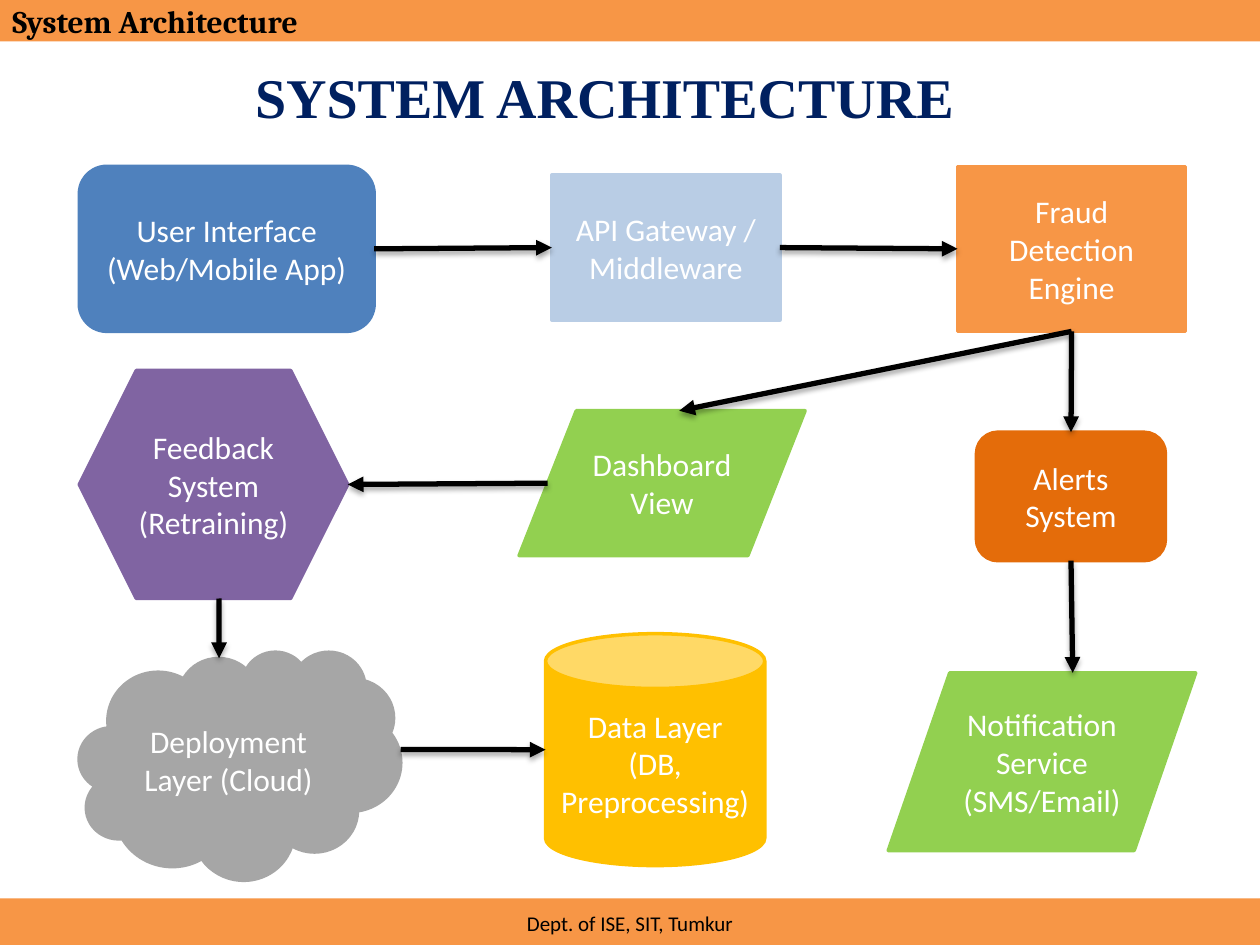
from lxml import etree
from pptx import Presentation
from pptx import util as u
from pptx.dml.color import RGBColor
from pptx.enum import shapes, text
from pptx.oxml import ns

BLACK = RGBColor(0x00, 0x00, 0x00)
WHITE = RGBColor(0xFF, 0xFF, 0xFF)
NAVY = RGBColor(0x00, 0x20, 0x60)
BLUE = RGBColor(0x4F, 0x81, 0xBD)
PALE_BLUE = RGBColor(0xB9, 0xCD, 0xE5)
ORANGE = RGBColor(0xF7, 0x96, 0x46)
DARK_ORANGE = RGBColor(0xE4, 0x6C, 0x0A)
GREEN = RGBColor(0x92, 0xD0, 0x50)
GOLD = RGBColor(0xFF, 0xC0, 0x00)
PURPLE = RGBColor(0x80, 0x64, 0xA2)
GREY = RGBColor(0xA6, 0xA6, 0xA6)

KIND = shapes.MSO_SHAPE
LEFT, CENTER = text.PP_ALIGN.LEFT, text.PP_ALIGN.CENTER

TITLE = ("SYSTEM ARCHITECTURE", (0.01, 0.29, 9.58, 0.95))
TITLE_FONT = {"name": "Times New Roman", "size": u.Pt(32), "bold": True}
NODE_FONT = {"name": "Calibri", "size": u.Pt(18)}

BANDS = [
    ("System Architecture", (0, 0, 10, 0.33), LEFT,
     {"name": "Cambria", "size": u.Pt(18), "bold": True}),
    ("Dept. of ISE, SIT, Tumkur", (0, 7.13, 10, 0.4), CENTER,
     {"name": "Calibri", "size": u.Pt(12)}),
]

NODES = {
    "interface": ("User Interface (Web/Mobile App)", KIND.ROUNDED_RECTANGLE, BLUE,
                  (0.63, 1.32, 2.34, 1.31)),
    "gateway": ("API Gateway / Middleware", KIND.RECTANGLE, PALE_BLUE,
                (4.38, 1.39, 1.81, 1.15)),
    "engine": ("Fraud Detection Engine", KIND.RECTANGLE, ORANGE,
               (7.6, 1.32, 1.81, 1.31)),
    "alerts": ("Alerts System", KIND.ROUNDED_RECTANGLE, DARK_ORANGE,
               (7.75, 3.43, 1.5, 1.02)),
    "dashboard": ("Dashboard View", KIND.FLOWCHART_DATA, GREEN,
                  (4.12, 3.26, 2.27, 1.15)),
    "notification": ("Notification Service (SMS/Email)", KIND.FLOWCHART_DATA, GREEN,
                     (7.05, 5.34, 2.44, 1.41)),
    "data": ("Data Layer (DB, Preprocessing)", KIND.CAN, GOLD,
             (4.33, 5.03, 1.74, 1.84)),
    "feedback": ("Feedback System (Retraining)", KIND.HEXAGON, PURPLE,
                 (0.63, 2.94, 2.13, 1.81)),
    "cloud": ("Deployment Layer (Cloud)", KIND.CLOUD, GREY,
              (0.63, 5.17, 2.55, 1.81)),
}

TOP, BOTTOM, WEST, EAST = (0.5, 0), (0.5, 1), (0, 0.5), (1, 0.5)
ARROWS = [
    ("interface", EAST, "gateway", WEST),
    ("engine", BOTTOM, "dashboard", (0.56, 0)),
    ("engine", BOTTOM, "alerts", TOP),
    ("gateway", EAST, "engine", WEST),
    ("dashboard", (0.1, 0.5), "feedback", EAST),
    ("cloud", (1, 0.43), "data", WEST),
    ("alerts", BOTTOM, "notification", (0.6, 0)),
    ("feedback", (0.52, 1), "cloud", (0.435, 0.03)),
]


def write(box, words, align, color, font):
    frame = box.text_frame
    frame.word_wrap = True
    frame.vertical_anchor = text.MSO_ANCHOR.MIDDLE
    para = frame.paragraphs[0]
    para.alignment = align
    span = para.add_run()
    span.text = words
    span.font.color.rgb = color
    for key, value in font.items():
        setattr(span.font, key, value)


def add_block(page, kind, place, fill):
    box = page.shapes.add_shape(kind, *map(u.Inches, place))
    box.shadow.inherit = False
    box.fill.solid()
    box.fill.fore_color.rgb = fill
    box.line.fill.background()
    return box


def site(node, fraction):
    left, top, width, height = NODES[node][3]
    return u.Inches(left + width * fraction[0]), u.Inches(top + height * fraction[1])


def add_arrow(page, start, end):
    arrow = page.shapes.add_connector(shapes.MSO_CONNECTOR.STRAIGHT, *start, *end)
    arrow.line.color.rgb = BLACK
    arrow.line.width = u.Pt(3)
    etree.SubElement(arrow.line._get_or_add_ln(), ns.qn("a:tailEnd"), type="triangle")
    effects = etree.SubElement(arrow._element.spPr, ns.qn("a:effectLst"))
    shadow = etree.SubElement(effects, ns.qn("a:outerShdw"), blurRad=str(u.Pt(3.1)),
                              dist=str(u.Pt(1.8)), dir="5400000", rotWithShape="0")
    color = etree.SubElement(shadow, ns.qn("a:srgbClr"), val=str(BLACK))
    etree.SubElement(color, ns.qn("a:alpha"), val="35000")


def main():
    deck = Presentation()
    deck.slide_width, deck.slide_height = u.Inches(10), u.Inches(7.5)
    page = deck.slides.add_slide(deck.slide_layouts[6])

    words, place = TITLE
    title = page.shapes.add_textbox(*map(u.Inches, place))
    write(title, words, CENTER, NAVY, TITLE_FONT)

    for words, place, align, font in BANDS:
        band = add_block(page, KIND.RECTANGLE, place, ORANGE)
        write(band, words, align, BLACK, font)

    for words, kind, fill, place in NODES.values():
        box = add_block(page, kind, place, fill)
        box.line.color.rgb = fill
        box.line.width = u.Pt(2)
        write(box, words, CENTER, WHITE, NODE_FONT)

    for source, leaving, target, entering in ARROWS:
        add_arrow(page, site(source, leaving), site(target, entering))

    deck.save("out.pptx")


if __name__ == "__main__":
    main()
